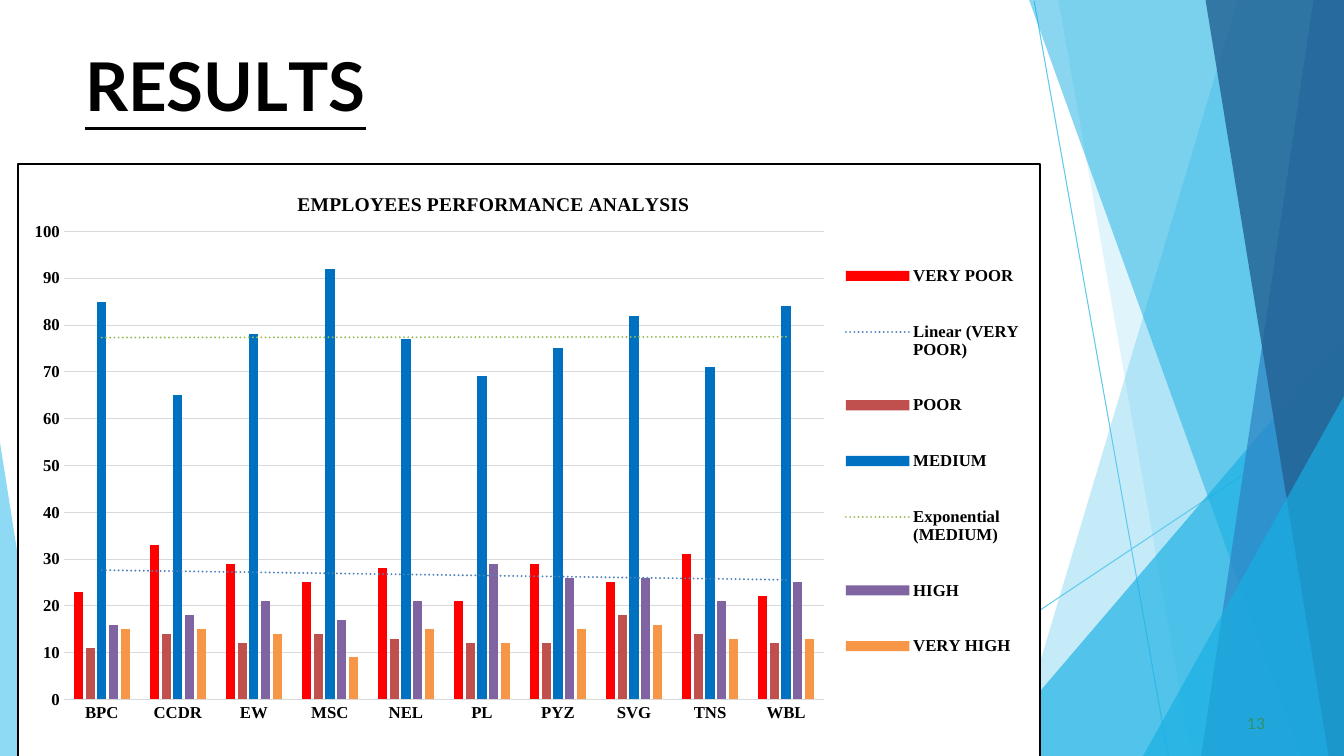
"""Build the results slide: a performance chart beside translucent facets."""
from typing import NamedTuple

from lxml import etree
from pptx import Presentation
from pptx.chart.data import CategoryChartData
from pptx.dml.color import RGBColor
from pptx.enum.chart import XL_CHART_TYPE, XL_LEGEND_POSITION, XL_TICK_MARK
from pptx.enum.shapes import MSO_CONNECTOR
from pptx.oxml import parse_xml
from pptx.oxml.ns import nsdecls, qn
from pptx.util import Pt

CLUSTERED = XL_CHART_TYPE.COLUMN_CLUSTERED
LEGEND_RIGHT = XL_LEGEND_POSITION.RIGHT
NO_TICK = XL_TICK_MARK.NONE
STRAIGHT = MSO_CONNECTOR.STRAIGHT

BLACK = RGBColor(0x00, 0x00, 0x00)
GREEN = RGBColor(0x2D, 0x93, 0x6B)
GREY = RGBColor(0xD9, 0xD9, 0xD9)
SKY = RGBColor(0x5F, 0xCA, 0xEE)
CYAN = RGBColor(0x17, 0xAF, 0xE3)
BLUE = RGBColor(0x2D, 0x83, 0xC3)
NAVY = RGBColor(0x22, 0x61, 0x92)
RED = RGBColor(0xFF, 0x00, 0x00)
BRICK = RGBColor(0xC0, 0x50, 0x4D)
AZURE = RGBColor(0x00, 0x70, 0xC0)
PURPLE = RGBColor(0x80, 0x64, 0xA2)
ORANGE = RGBColor(0xF7, 0x96, 0x46)
STEEL = RGBColor(0x4F, 0x81, 0xBD)
OLIVE = RGBColor(0x9B, 0xBB, 0x59)

WIDTH, HEIGHT = 960, 540
SERIF = "Times New Roman"
CATEGORIES = ("BPC", "CCDR", "EW", "MSC", "NEL", "PL", "PYZ", "SVG", "TNS", "WBL")
PLOT_LAYOUT = {"x": 0.045, "y": 0.114, "w": 0.744, "h": 0.787}
LEGEND_LAYOUT = {"x": 0.8, "y": 0.11, "w": 0.19, "h": 0.78}
TITLE_LAYOUT = {"x": 0.27, "y": 0.04}

Point = tuple[float, float]


class Facet(NamedTuple):
    points: tuple[Point, ...]
    color: RGBColor
    opacity: int


class Trend(NamedTuple):
    kind: str
    color: RGBColor


class Rating(NamedTuple):
    name: str
    values: tuple[int, ...]
    color: RGBColor
    trend: Trend | None = None


class Span(NamedTuple):
    text: str
    spacing: float = 0


def right_facet(bottom: float, color: RGBColor, opacity: int,
                top: float = WIDTH, start: float = 0) -> Facet:
    points = ((WIDTH, start), (top, start), (bottom, HEIGHT), (WIDTH, HEIGHT))
    return Facet(points, color, opacity)


RAYS = (((738.7, 0.7), (834.5, HEIGHT)), ((WIDTH, 290.9), (586.8, HEIGHT)))
FACETS = (
    right_facet(722.9, SKY, 36, top=884.2),
    right_facet(851, SKY, 20, top=756),
    right_facet(703.4, CYAN, 66, start=239.8),
    right_facet(929.5, CYAN, 50, top=735.1),
    right_facet(858, BLUE, 70, top=938.2),
    right_facet(949, NAVY, 80, top=861.1),
    right_facet(816.5, CYAN, 66, start=283),
    Facet(((0, 316.1), (0, HEIGHT), (35.3, HEIGHT)), SKY, 70),
)
RATINGS = (
    Rating("VERY POOR", (23, 33, 29, 25, 28, 21, 29, 25, 31, 22), RED,
           Trend("linear", STEEL)),
    Rating("POOR", (11, 14, 12, 14, 13, 12, 12, 18, 14, 12), BRICK),
    Rating("MEDIUM", (85, 65, 78, 92, 77, 69, 75, 82, 71, 84), AZURE,
           Trend("exp", OLIVE)),
    Rating("HIGH", (16, 18, 21, 17, 21, 29, 26, 26, 21, 25), PURPLE),
    Rating("VERY HIGH", (15, 15, 14, 9, 15, 12, 15, 16, 13, 13), ORANGE),
)
TITLE = (Span("R"), Span("E", -0.4), Span("S", 0.1), Span("U", -0.3),
         Span("L", -4), Span("TS"))


def style_font(font, *, size: float, name: str = SERIF, color: RGBColor = BLACK,
               bold: bool = True, underline: bool = False) -> None:
    font.size, font.name, font.bold = Pt(size), name, bold
    font.color.rgb = color
    if underline:
        font.underline = True


def add_ray(slide, start: Point, end: Point) -> None:
    ray = slide.shapes.add_connector(STRAIGHT, *map(Pt, start + end))
    ray.line.color.rgb = SKY
    ray.line.width = Pt(0.75)
    etree.SubElement(ray._element.spPr, qn("a:effectLst"))


def add_facet(slide, facet: Facet) -> None:
    corners = [(Pt(x), Pt(y)) for x, y in facet.points]
    builder = slide.shapes.build_freeform(*corners[0], scale=1.0)
    builder.add_line_segments(corners[1:], close=True)
    shape = builder.convert_to_shape()
    shape.shadow.inherit = False
    shape.fill.solid()
    shape.fill.fore_color.rgb = facet.color
    shape.line.fill.background()
    color = shape._element.spPr.find(qn("a:solidFill")).find(qn("a:srgbClr"))
    etree.SubElement(color, qn("a:alpha"), val=str(facet.opacity * 1000))


def add_text(slide, spans: tuple[Span, ...], box: tuple[float, ...], *,
             before: float, indent: float, **font_format) -> None:
    frame = slide.shapes.add_textbox(*map(Pt, box)).text_frame
    frame.word_wrap = True
    frame.margin_left = frame.margin_right = frame.margin_bottom = 0
    frame.margin_top = Pt(0.72)
    paragraph = frame.paragraphs[0]
    paragraph.space_before = Pt(before)
    paragraph._p.get_or_add_pPr().set("marL", str(Pt(indent)))
    for span in spans:
        run = paragraph.add_run()
        run.text = span.text
        style_font(run.font, **font_format)
        run.font._element.set("spc", str(round(span.spacing * 100)))


def add_trend(series, trend: Trend) -> None:
    series._element.find(qn("c:cat")).addprevious(parse_xml(
        f'<c:trendline {nsdecls("c", "a")}><c:spPr><a:ln w="{Pt(1.5)}" cap="rnd">'
        f'<a:solidFill><a:srgbClr val="{trend.color}"/></a:solidFill>'
        '<a:prstDash val="sysDot"/></a:ln></c:spPr>'
        f'<c:trendlineType val="{trend.kind}"/>'
        '<c:dispRSqr val="0"/><c:dispEq val="0"/></c:trendline>'))


def place(part, sizes: dict[str, float], index: int, target: str = "") -> None:
    for layout in part.findall(qn("c:layout")):
        part.remove(layout)
    values = "".join(f'<c:{key} val="{value}"/>' for key, value in sizes.items())
    part.insert(index, parse_xml(
        f'<c:layout {nsdecls("c")}><c:manualLayout>{target}'
        '<c:xMode val="edge"/><c:yMode val="edge"/>'
        f'{values}</c:manualLayout></c:layout>'))


def frame_chart(chart) -> None:
    body = chart._chartSpace.find(qn("c:chart"))
    body.addnext(parse_xml(
        f'<c:spPr {nsdecls("c", "a")}><a:solidFill><a:srgbClr val="FFFFFF"/>'
        f'</a:solidFill><a:ln w="{Pt(1.5)}"><a:solidFill>'
        f'<a:srgbClr val="{BLACK}"/></a:solidFill></a:ln></c:spPr>'))
    place(body.find(qn("c:plotArea")), PLOT_LAYOUT, 0, '<c:layoutTarget val="inner"/>')
    place(body.find(qn("c:legend")), LEGEND_LAYOUT, 1)
    place(body.find(qn("c:title")), TITLE_LAYOUT, 1)


def add_performance_chart(slide) -> None:
    data = CategoryChartData()
    data.categories = CATEGORIES
    for rating in RATINGS:
        data.add_series(rating.name, rating.values)
    box = map(Pt, (12, 116.2, 731.5, 426.3))
    chart = slide.shapes.add_chart(CLUSTERED, *box, data).chart
    style_font(chart.font, size=10, name="Calibri", bold=False)
    chart.has_title = True
    title = chart.chart_title.text_frame
    title.text = "EMPLOYEES PERFORMANCE ANALYSIS"
    style_font(title.paragraphs[0].runs[0].font, size=14)
    chart.has_legend = True
    chart.legend.position = LEGEND_RIGHT
    chart.legend.include_in_layout = False
    style_font(chart.legend.font, size=12)
    for axis in (chart.category_axis, chart.value_axis):
        axis.major_tick_mark = axis.minor_tick_mark = NO_TICK
        style_font(axis.tick_labels.font, size=12)
    chart.value_axis.minimum_scale, chart.value_axis.maximum_scale = 0, 100
    chart.value_axis.major_unit = 10
    chart.value_axis.format.line.fill.background()
    for rule in (chart.category_axis, chart.value_axis.major_gridlines):
        rule.format.line.color.rgb = GREY
        rule.format.line.width = Pt(0.75)
    plot = chart.plots[0]
    plot.gap_width, plot.overlap, plot.vary_by_categories = 219, -27, False
    for series, rating in zip(plot.series, RATINGS):
        series.format.fill.solid()
        series.format.fill.fore_color.rgb = rating.color
        if rating.trend:
            add_trend(series, rating.trend)
    frame_chart(chart)


def main() -> None:
    presentation = Presentation()
    presentation.slide_width, presentation.slide_height = Pt(WIDTH), Pt(HEIGHT)
    slide = presentation.slides.add_slide(presentation.slide_layouts[6])
    for start, end in RAYS:
        add_ray(slide, start, end)
    for facet in FACETS:
        add_facet(slide, facet)
    add_text(slide, TITLE, (60, 30.7, 248.4, 58.3), before=1.1, indent=0.72,
             size=48, name="Lato", underline=True)
    add_text(slide, (Span("13", 0.1),), (888, 509.5, 18, 15.1), before=0.6,
             indent=2.88, size=11, name="Lato", color=GREEN, bold=False)
    add_performance_chart(slide)
    presentation.save("out.pptx")


if __name__ == "__main__":
    main()
